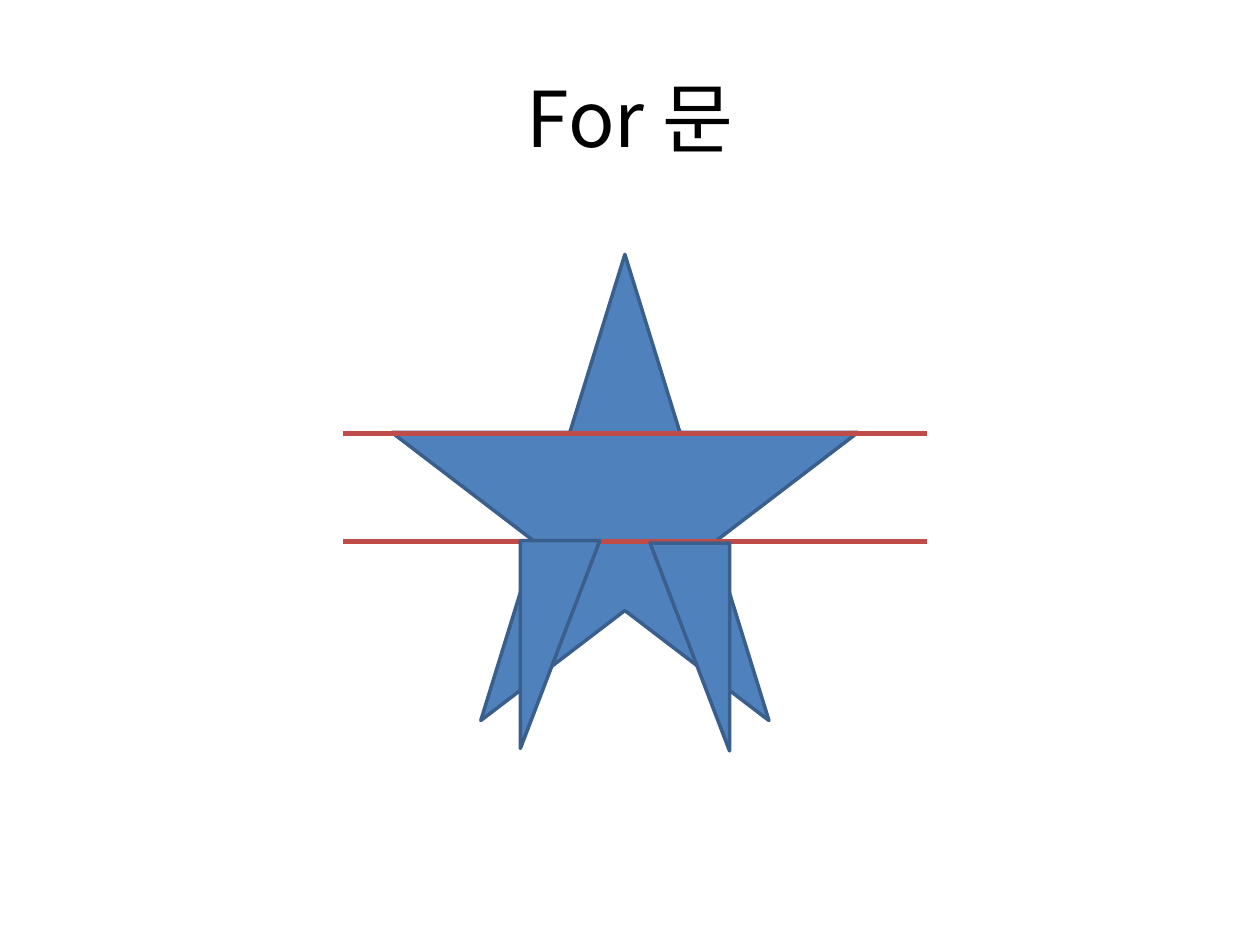
from lxml import etree
from pptx import Presentation
from pptx import util as u
from pptx.dml.color import RGBColor
from pptx.enum import shapes, text
from pptx.oxml import ns

Pt = u.Pt


def colour(value):
    return RGBColor.from_string(value)


class Page:
    FONT = "Noto Sans CJK KR"
    INK = "000000"
    FILL = "4F81BD"
    EDGE = "3A5F8C"
    RULE = "BF4C48"

    def __init__(self, deck):
        self.slide = deck.slides.add_slide(deck.slide_layouts[6])

    def title(self, words, left, top, width, height, size):
        box = self.slide.shapes.add_textbox(Pt(left), Pt(top), Pt(width), Pt(height))
        frame = box.text_frame
        frame.word_wrap = True
        frame.vertical_anchor = text.MSO_ANCHOR.MIDDLE
        para = frame.paragraphs[0]
        para.alignment = text.PP_ALIGN.CENTER
        span = para.add_run()
        span.text = words
        span.font.size = Pt(size)
        span.font.name = self.FONT
        span.font.color.rgb = colour(self.INK)
        # Korean letters take the East Asian font
        east = etree.SubElement(span.font._element, ns.qn("a:ea"))
        east.set("typeface", self.FONT)

    def shape(self, kind, left, top, width, height, turn=0, mirrored=False):
        shape = self.slide.shapes.add_shape(kind, Pt(left), Pt(top), Pt(width), Pt(height))
        shape.shadow.inherit = False
        shape.fill.solid()
        shape.fill.fore_color.rgb = colour(self.FILL)
        shape.line.color.rgb = colour(self.EDGE)
        shape.line.width = Pt(2)
        shape.rotation = turn
        if mirrored:
            shape._element.spPr.xfrm.set("flipH", "1")

    def rule(self, left, right, y):
        line = self.slide.shapes.add_connector(
            shapes.MSO_CONNECTOR.STRAIGHT, Pt(left), Pt(y), Pt(right), Pt(y))
        line.line.color.rgb = colour(self.RULE)
        line.line.width = Pt(3)
        etree.SubElement(line._element.spPr, ns.qn("a:effectLst"))


def main():
    deck = Presentation()
    deck.slide_width, deck.slide_height = Pt(720), Pt(540)
    page = Page(deck)

    # Title
    page.title("For 문", 36, 21.6, 648, 90, 44)

    # Star
    page.shape(shapes.MSO_SHAPE.STAR_5_POINT, 223.9, 145.4, 266.4, 266.4)

    # Lines that cut the star into three parts
    for y in (247.7, 309.6):
        page.rule(195.8, 529.9, y)

    # Triangles over the legs, the left one mirrored
    for left, top, mirrored in ((297.4, 308.9, True), (371.5, 310.3, False)):
        page.shape(shapes.MSO_SHAPE.RIGHT_TRIANGLE, left, top, 45.4, 118.8, 180, mirrored)

    deck.save("out.pptx")


if __name__ == "__main__":
    main()
